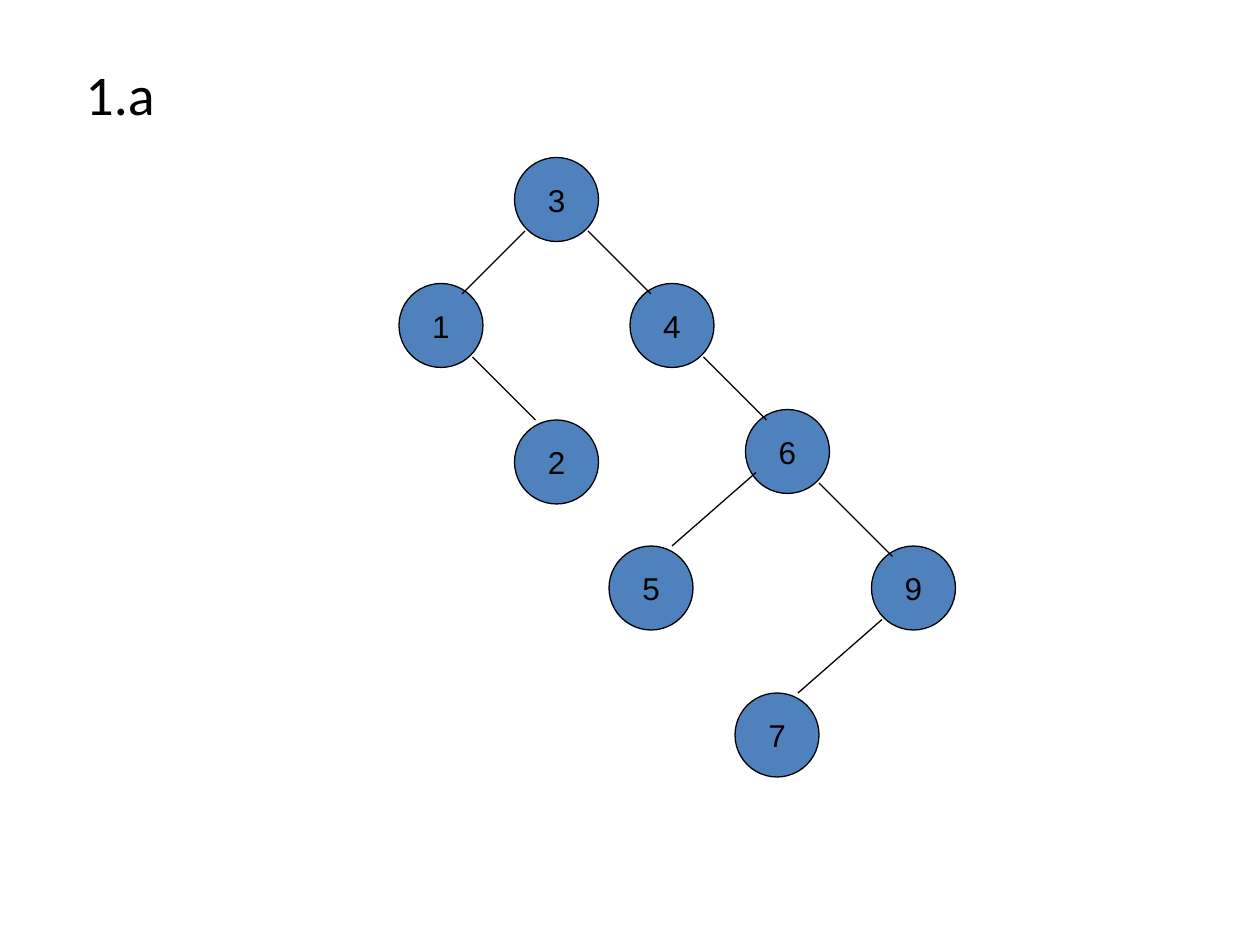
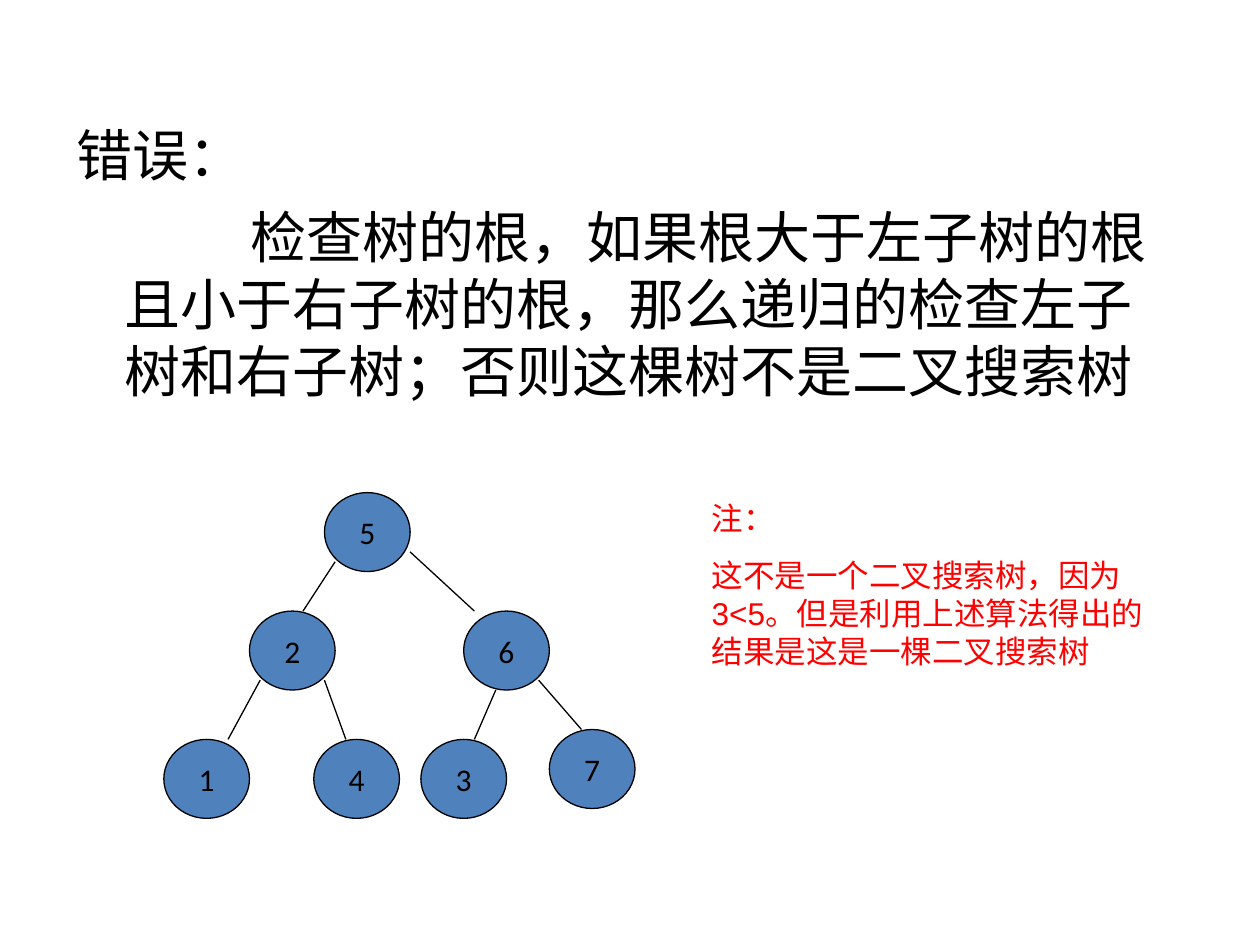
from dataclasses import dataclass

from lxml import etree
from pptx import Presentation
from pptx import util as u
from pptx.dml import color
from pptx.enum import shapes, text
from pptx.oxml import ns


@dataclass(frozen=True)
class Theme:
    node: color.RGBColor = color.RGBColor.from_string("4F81BD")
    ink: color.RGBColor = color.RGBColor.from_string("000000")
    alert: color.RGBColor = color.RGBColor.from_string("FF0000")
    latin: str = "Calibri"
    plain: str = "Arial"
    large: int = 32
    small: int = 18
    outline: float = 0.75


THEME = Theme()
CELLS = 12
NODE_CELLS = 8

# Each edge: parent, child, then the cell offsets of its ends inside those nodes.
ANSWER_TREE = {
    "origin": (0, 0),
    "step": (1, 1),
    "font": THEME.plain,
    "nodes": {
        "3": (49, 15), "1": (38, 27), "4": (60, 27), "6": (71, 39),
        "9": (83, 52), "2": (49, 40), "5": (58, 52), "7": (70, 66),
    },
    "edges": [
        ("3", "1", (1, 7), (6, 1)),
        ("3", "4", (7, 7), (2, 1)),
        ("4", "6", (7, 7), (2, 1)),
        ("6", "9", (7, 7), (2, 1)),
        ("1", "2", (7, 7), (2, 0)),
        ("6", "5", (1, 6), (6, 0)),
        ("9", "7", (1, 7), (6, 0)),
    ],
}

COUNTEREXAMPLE_TREE = {
    "origin": (1.3, 3.91),
    "step": (1.02, 0.94),
    "font": THEME.latin,
    "nodes": {
        "5": (15, 0), "2": (8, 12), "6": (28, 12), "1": (0, 25),
        "7": (36, 24), "4": (14, 25), "3": (24, 25),
    },
    "edges": [
        ("5", "2", (1, 7), (5, 0)),
        ("5", "6", (8, 6), (1, 0)),
        ("2", "1", (1, 7), (6, 0)),
        ("6", "3", (3, 8), (5, 0)),
        ("2", "4", (7, 7), (3, 0)),
        ("6", "7", (7, 7), (3, 0)),
    ],
}

HEADING = {
    "box": (0.58, 0.42, 2.42, 0.64),
    "lines": ["1.a"],
    "font": THEME.latin, "size": THEME.large, "color": THEME.ink,
    "gap": 0, "indents": [(0, 0)], "grow": True,
}
CLAIM = {
    "box": (0.51, 0.91, 9, 3.12),
    "lines": [
        "错误：",
        "检查树的根，如果根大于左子树的根且小于右子树的根，那么递归的检查左子树和右子树；否则这棵树不是二叉搜索树",
    ],
    "font": THEME.latin, "size": THEME.large, "color": THEME.ink,
    "gap": 8, "indents": [(0.38, -0.38), (0.38, 1)], "grow": False,
}
REMARK = {
    "box": (5.55, 3.91, 3.7, 1.46),
    "lines": [
        "注：",
        "这不是一个二叉搜索树，因为3<5。但是利用上述算法得出的结果是这是一棵二叉搜索树",
    ],
    "font": THEME.plain, "size": THEME.small, "color": THEME.alert,
    "gap": 11.2, "indents": [(0, 0), (0, 0)], "grow": True,
}

SLIDES = [
    {"tree": ANSWER_TREE, "passages": [HEADING]},
    {"tree": COUNTEREXAMPLE_TREE, "passages": [CLAIM, REMARK]},
]


def style(paragraph, font, size, ink):
    paragraph.font.name = font
    paragraph.font.size = u.Pt(size)
    paragraph.font.color.rgb = ink
    for run in paragraph.runs:
        run.font.name = font
        run.font.size = u.Pt(size)
        run.font.color.rgb = ink


def add_passage(slide, passage):
    frame = slide.shapes.add_textbox(*map(u.Inches, passage["box"])).text_frame
    frame.text = "\n".join(passage["lines"])
    frame.word_wrap = True
    if passage["grow"]:
        frame.auto_size = text.MSO_AUTO_SIZE.SHAPE_TO_FIT_TEXT
    for index, (paragraph, (margin, indent)) in enumerate(
        zip(frame.paragraphs, passage["indents"])
    ):
        properties = paragraph._p.get_or_add_pPr()
        properties.set("marL", str(u.Inches(margin)))
        properties.set("indent", str(u.Inches(indent)))
        if index:
            paragraph.space_before = u.Pt(passage["gap"])
        style(paragraph, passage["font"], passage["size"], passage["color"])


def add_node(slide, label, corner, size, font):
    node = slide.shapes.add_shape(shapes.MSO_SHAPE.OVAL, *corner, *size)
    node.shadow.inherit = False
    node.fill.solid()
    node.fill.fore_color.rgb = THEME.node
    node.line.color.rgb = THEME.ink
    node.line.width = u.Pt(THEME.outline)
    frame = node.text_frame
    frame.text = label
    frame.word_wrap = False
    frame.vertical_anchor = text.MSO_ANCHOR.MIDDLE
    frame.paragraphs[0].alignment = text.PP_ALIGN.CENTER
    style(frame.paragraphs[0], font, THEME.small, THEME.ink)


def add_edge(slide, start, end):
    edge = slide.shapes.add_connector(shapes.MSO_CONNECTOR.STRAIGHT, *start, *end)
    edge.line.color.rgb = THEME.ink
    edge.line.width = u.Pt(THEME.outline)
    etree.SubElement(edge._element.spPr, ns.qn("a:effectLst"))


def add_tree(slide, tree):
    def span(cells):
        return [u.Inches(n * step / CELLS) for n, step in zip(cells, tree["step"])]

    def point(cells, offset=(0, 0)):
        place = span([a + b for a, b in zip(cells, offset)])
        return [u.Inches(o) + p for o, p in zip(tree["origin"], place)]

    nodes = tree["nodes"]
    size = span((NODE_CELLS, NODE_CELLS))
    for label, cells in nodes.items():
        add_node(slide, label, point(cells), size, tree["font"])
    for parent, child, leave, arrive in tree["edges"]:
        add_edge(slide, point(nodes[parent], leave), point(nodes[child], arrive))


def main():
    deck = Presentation()
    deck.slide_width, deck.slide_height = u.Inches(10), u.Inches(7.5)
    for content in SLIDES:
        slide = deck.slides.add_slide(deck.slide_layouts[6])
        add_tree(slide, content["tree"])
        for passage in content["passages"]:
            add_passage(slide, passage)
    deck.save("out.pptx")


if __name__ == "__main__":
    main()
